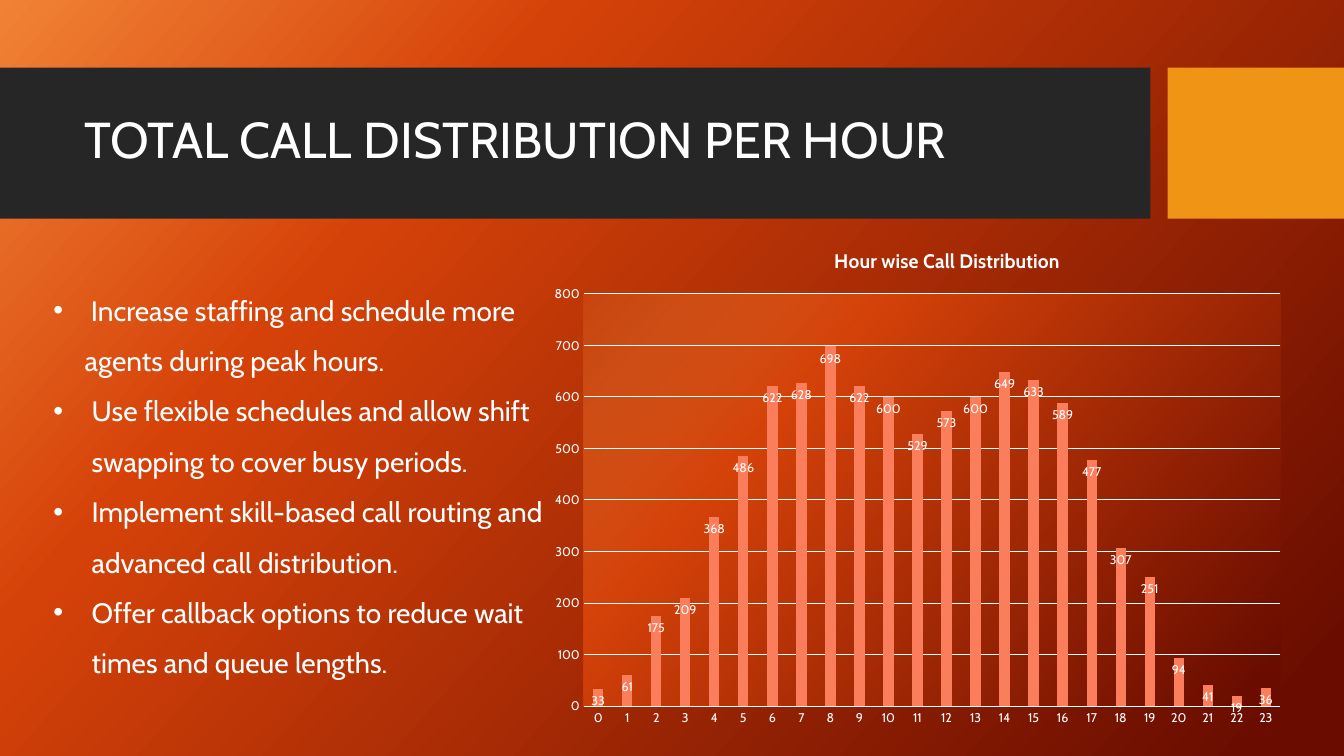
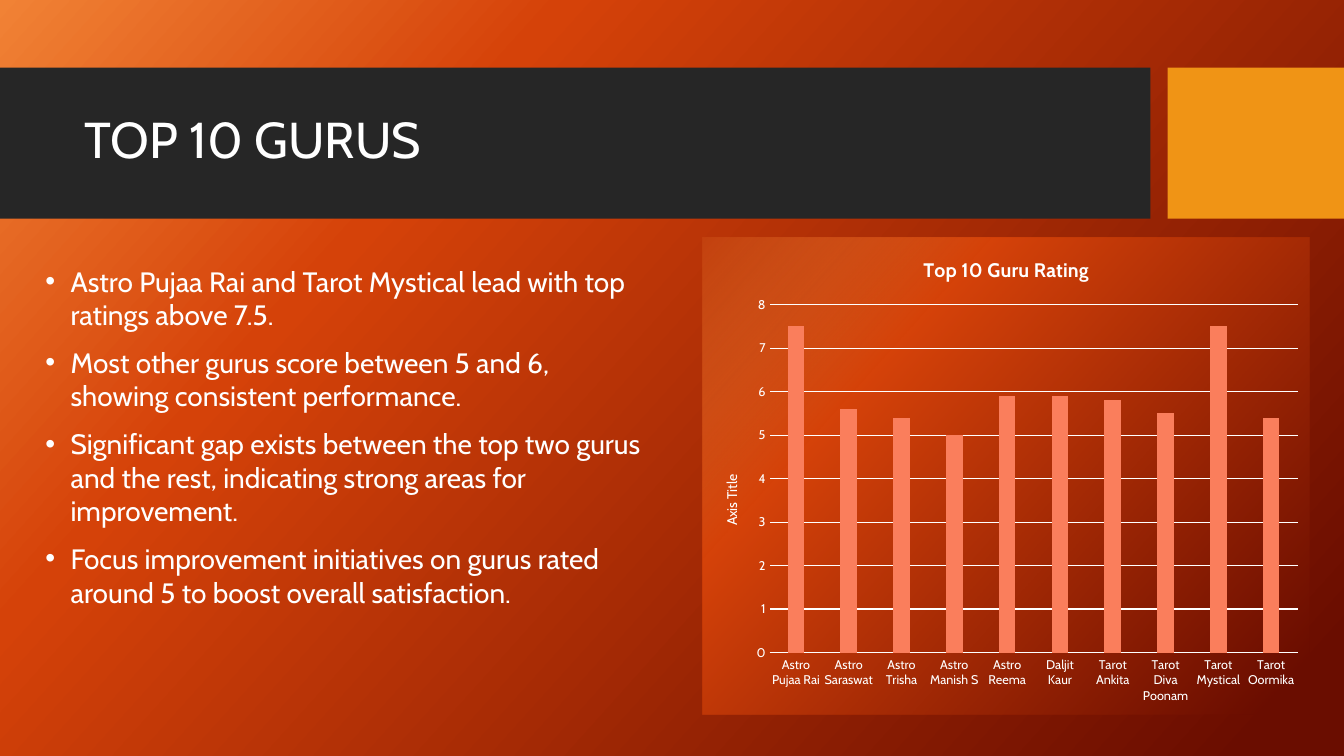
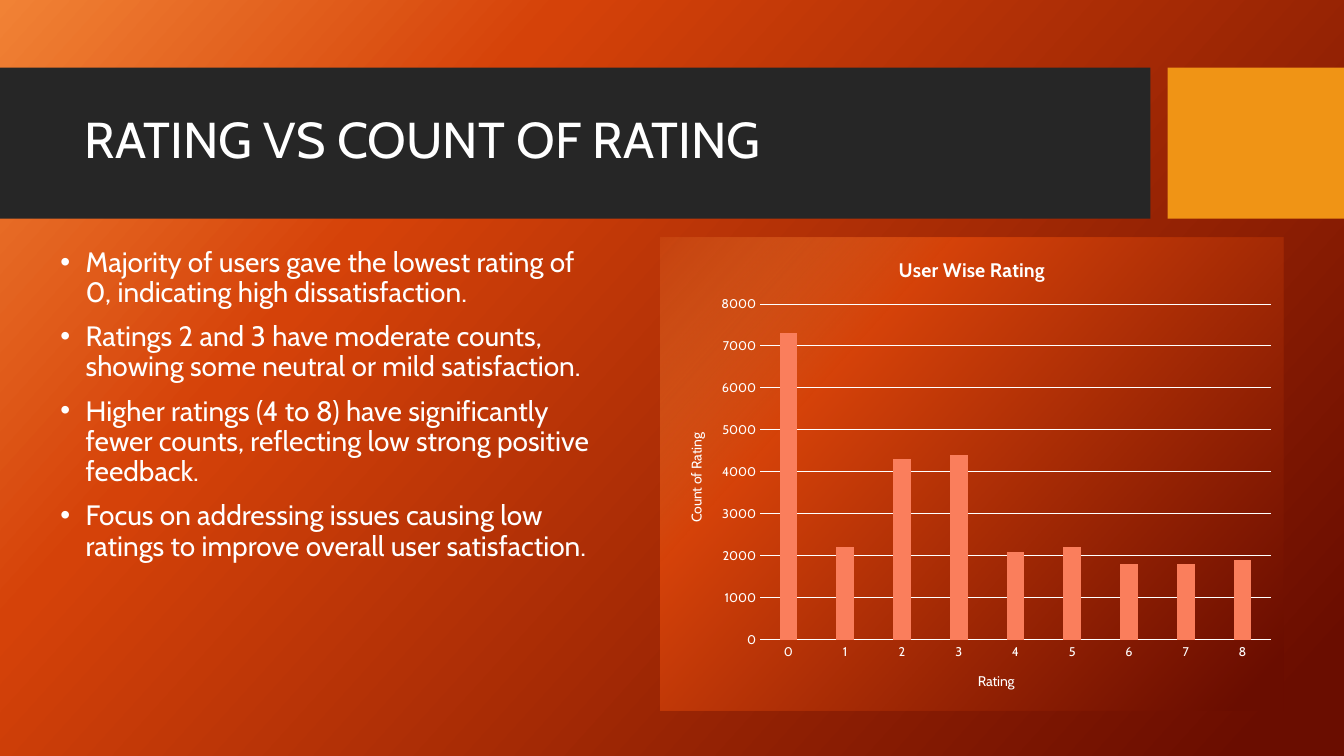
from lxml.etree import SubElement
from pptx import Presentation
from pptx.chart.data import CategoryChartData
from pptx.dml.color import RGBColor
from pptx.enum.chart import XL_AXIS_CROSSES as Crosses
from pptx.enum.chart import XL_CHART_TYPE as ChartType
from pptx.enum.chart import XL_LABEL_POSITION as LabelPosition
from pptx.enum.chart import XL_TICK_MARK as TickMark
from pptx.enum.shapes import MSO_SHAPE as ShapeType
from pptx.enum.text import MSO_AUTO_SIZE as AutoSize
from pptx.enum.text import PP_ALIGN as Align
from pptx.oxml import parse_xml
from pptx.oxml.ns import nsdecls, qn
from pptx.util import Inches, Pt

WHITE = RGBColor(0xFF, 0xFF, 0xFF)
CHARCOAL = RGBColor(0x26, 0x26, 0x26)
AMBER = RGBColor(0xF0, 0x94, 0x15)
ORANGE = RGBColor(0xF1, 0x82, 0x35)
RUST = RGBColor(0xD5, 0x42, 0x09)
MAROON = RGBColor(0x6A, 0x0D, 0x00)
CORAL = RGBColor(0xFA, 0x7E, 0x5C)
FONT = "Cabin"


def gradient(first_alpha):
    stops = "".join(
        f'<a:gs pos="{position * 1000}"><a:srgbClr val="{color}">'
        f'<a:alpha val="{alpha * 1000}"/></a:srgbClr></a:gs>'
        for position, color, alpha in [(0, ORANGE, first_alpha), (28, RUST, 100), (95, MAROON, 100)]
    )
    return parse_xml(
        f'<a:gradFill {nsdecls("a")} rotWithShape="1"><a:gsLst>{stops}</a:gsLst>'
        f'<a:lin ang="{42 * 60000}" scaled="0"/></a:gradFill>'
    )


def format_font(font, size, bold=False):
    for name, value in {"name": FONT, "size": Pt(size), "bold": bold}.items():
        setattr(font, name, value)
    font.color.rgb = WHITE


PAGES = [
    {
        "title": "TOTAL CALL DISTRIBUTION PER HOUR",
        "body": (0.43, 2.69, 5.15, 4.95),
        "indents": [0.31, 0.38, 0.38, 0.38],
        "line_spacing": 1.5,
        "space_before": 0,
        "bullets": [
            " Increase staffing and schedule more agents during peak hours.",
            "Use flexible schedules and allow shift swapping to cover busy periods.",
            "Implement skill-based call routing and advanced call distribution.",
            "Offer callback options to reduce wait times and queue lengths.",
        ],
        "chart": (5.5, 2.26, 7.65, 5.05),
        "plot": (0.02, 0.13, 0.92, 0.81),
        "chart_title": "Hour wise Call Distribution",
        "axis_titles": (None, None),
        "categories": [str(hour) for hour in range(24)],
        "values": [33, 61, 175, 209, 368, 486, 622, 628, 698, 622, 600, 529,
                   573, 600, 649, 633, 589, 477, 307, 251, 94, 41, 19, 36],
        "unit": 100,
        "gap": 182,
        "overlap": 0,
        "hourly": True,
    },
    {
        "title": "TOP 10 GURUS",
        "body": (0.35, 2.57, 6.13, 3.94),
        "indents": [0.25] * 4,
        "line_spacing": 1.0,
        "space_before": 10,
        "bullets": [
            "Astro Pujaa Rai and Tarot Mystical lead with top ratings above 7.5.",
            "Most other gurus score between 5 and 6, showing consistent performance.",
            "Significant gap exists between the top two gurus and the rest, indicating strong areas for improvement.",
            "Focus improvement initiatives on gurus rated around 5 to boost overall satisfaction.",
        ],
        "chart": (6.97, 2.36, 6.02, 4.73),
        "plot": (0.11, 0.14, 0.87, 0.73),
        "chart_title": "Top 10 Guru Rating",
        "axis_titles": (None, "Axis Title"),
        "categories": ["Astro Pujaa Rai", "Astro Saraswat", "Astro Trisha", "Astro Manish S",
                       "Astro Reema", "Daljit Kaur", "Tarot Ankita", "Tarot Diva Poonam",
                       "Tarot Mystical", "Tarot Oormika"],
        "values": [7.5, 5.6, 5.4, 5, 5.9, 5.9, 5.8, 5.5, 7.5, 5.4],
        "unit": 1,
        "gap": 219,
        "overlap": -27,
        "hourly": False,
    },
    {
        "title": "RATING VS COUNT OF RATING",
        "body": (0.5, 2.41, 5.6, 4.69),
        "indents": [0.25] * 4,
        "line_spacing": 0.9,
        "space_before": 10,
        "bullets": [
            "Majority of users gave the lowest rating of 0, indicating high dissatisfaction.",
            "Ratings 2 and 3 have moderate counts, showing some neutral or mild satisfaction.",
            "Higher ratings (4 to 8) have significantly fewer counts, reflecting low strong positive feedback.",
            "Focus on addressing issues causing low ratings to improve overall user satisfaction.",
        ],
        "chart": (6.55, 2.36, 6.18, 4.69),
        "plot": (0.16, 0.14, 0.82, 0.71),
        "chart_title": "User Wise Rating",
        "axis_titles": ("Rating", "Count of Rating"),
        "categories": [str(rating) for rating in range(9)],
        "values": [7300, 2200, 4300, 4400, 2100, 2200, 1800, 1800, 1900],
        "unit": 1000,
        "gap": 219,
        "overlap": -27,
        "hourly": False,
    },
]

presentation = Presentation()
presentation.slide_width = Inches(13.33)
presentation.slide_height = Inches(7.5)
layout = presentation.slide_layouts[1]
slides = [presentation.slides.add_slide(layout) for page in PAGES]

master = presentation.slide_master
master.background.fill.solid()
background = master.element.find(".//" + qn("p:bgPr"))
background.replace(background[0], gradient(100))

for index, (left, width, color) in enumerate([(0, 11.41, CHARCOAL), (11.58, 1.75, AMBER)]):
    band = slides[0].shapes.add_shape(
        ShapeType.RECTANGLE, Inches(left), Inches(0.67), Inches(width), Inches(1.5)
    )
    band.shadow.inherit = False
    band.fill.solid()
    band.fill.fore_color.rgb = color
    band.line.fill.background()
    band.element.nvSpPr.cNvPr.set("id", str(20 + index))
    master.element.cSld.spTree.insert(2 + index, band.element)

for slide, page in zip(slides, PAGES):
    title, body = slide.shapes.title, slide.placeholders[1]
    for placeholder, box in [(title, (0.74, 0.82, 10.51, 1.18)), (body, page["body"])]:
        for side, length in zip(["left", "top", "width", "height"], box):
            setattr(placeholder, side, Inches(length))
        placeholder.text_frame.auto_size = AutoSize.NONE
        placeholder.text_frame.word_wrap = True

    title.text_frame.text = page["title"]
    heading = title.text_frame.paragraphs[0]
    heading.alignment = Align.LEFT
    heading.line_spacing = 0.9
    format_font(heading.runs[0].font, 36)

    body.text_frame.text = "\n".join(page["bullets"])
    for index, paragraph in enumerate(body.text_frame.paragraphs):
        indent = Inches(page["indents"][index])
        properties = paragraph._p.get_or_add_pPr()
        properties.set("marL", str(indent))
        properties.set("indent", str(-indent))
        paragraph.line_spacing = page["line_spacing"]
        paragraph.space_before = Pt(page["space_before"] if index else 0)
        format_font(paragraph.runs[0].font, 20)

    chart_data = CategoryChartData()
    chart_data.categories = page["categories"]
    chart_data.add_series("Series 1", page["values"])
    chart_box = [Inches(length) for length in page["chart"]]
    chart = slide.shapes.add_chart(ChartType.COLUMN_CLUSTERED, *chart_box, chart_data).chart
    chart.has_legend = False
    format_font(chart.font, 10)
    chart.has_title = True
    chart.chart_title.text_frame.text = page["chart_title"]
    format_font(chart.chart_title.text_frame.paragraphs[0].runs[0].font, 14, True)

    category_axis, value_axis = chart.category_axis, chart.value_axis
    for axis, axis_title in zip([category_axis, value_axis], page["axis_titles"]):
        axis.major_tick_mark = axis.minor_tick_mark = TickMark.NONE
        format_font(axis.tick_labels.font, 9)
        axis.has_title = axis_title is not None
        if axis_title:
            axis.axis_title.text_frame.text = axis_title
            format_font(axis.axis_title.text_frame.paragraphs[0].runs[0].font, 10)
    scale = {"minimum_scale": 0, "maximum_scale": 8 * page["unit"], "major_unit": page["unit"]}
    for name, value in scale.items():
        setattr(value_axis, name, value)
    value_axis.format.line.fill.background()
    for line in [category_axis.format.line, value_axis.major_gridlines.format.line]:
        line.color.rgb = WHITE
        line.width = Pt(0.75)

    plot = chart.plots[0]
    plot.gap_width = page["gap"]
    plot.overlap = page["overlap"]
    plot.vary_by_categories = False
    plot.series[0].format.fill.solid()
    plot.series[0].format.fill.fore_color.rgb = CORAL

    plot_area = chart.element.find(".//" + qn("c:plotArea"))
    for old_layout in plot_area.findall(qn("c:layout")):
        plot_area.remove(old_layout)
    plot_layout = parse_xml(f'<c:layout {nsdecls("c")}/>')
    manual = SubElement(plot_layout, qn("c:manualLayout"))
    settings = [("layoutTarget", "inner"), ("xMode", "edge"), ("yMode", "edge")]
    for name, value in settings + list(zip("xywh", page["plot"])):
        SubElement(manual, qn(f"c:{name}")).set("val", str(value))
    plot_area.insert(0, plot_layout)

    panel = parse_xml(f'<c:spPr {nsdecls("c", "a")}><a:ln><a:noFill/></a:ln></c:spPr>')
    panel.insert(0, gradient(16))
    if page["hourly"]:
        plot_area.append(panel)
        category_axis.crosses = Crosses.MAXIMUM
        plot.has_data_labels = True
        plot.data_labels.show_value = True
        plot.data_labels.position = LabelPosition.INSIDE_END
        format_font(plot.data_labels.font, 9)
    else:
        chart.element.find(qn("c:chart")).addnext(panel)

presentation.save("out.pptx")
